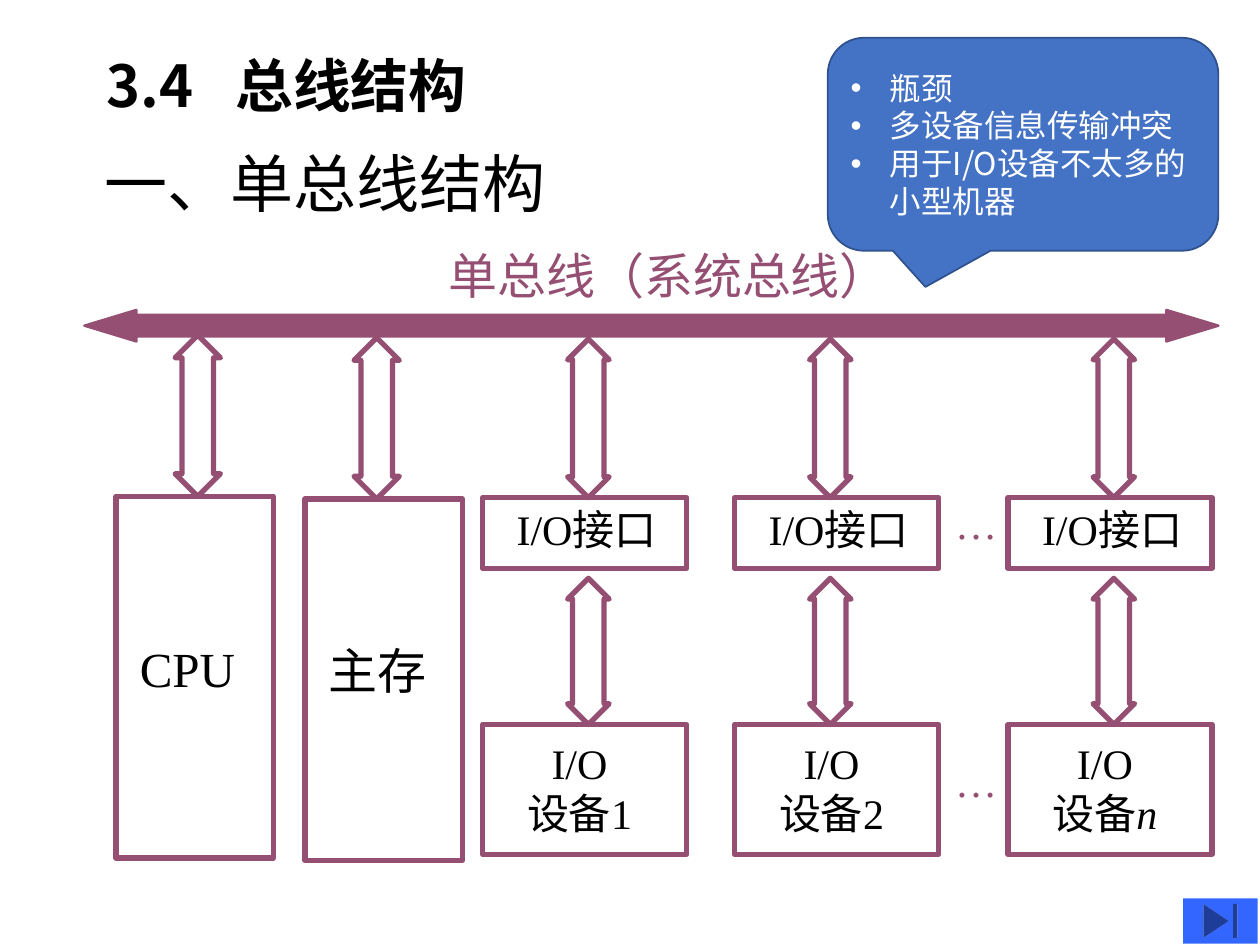
from lxml import etree
from pptx import Presentation
from pptx.dml.color import RGBColor
from pptx.enum.shapes import MSO_SHAPE
from pptx.enum.text import MSO_ANCHOR, PP_ALIGN
from pptx.oxml.ns import qn
from pptx.util import Inches, Pt

RECT, BUTTON = MSO_SHAPE.RECTANGLE, MSO_SHAPE.ACTION_BUTTON_END
BUS, LINK = MSO_SHAPE.LEFT_RIGHT_ARROW, MSO_SHAPE.UP_DOWN_ARROW
CALLOUT = MSO_SHAPE.ROUNDED_RECTANGULAR_CALLOUT
TOP, MIDDLE = MSO_ANCHOR.TOP, MSO_ANCHOR.MIDDLE
LEFT, CENTER = PP_ALIGN.LEFT, PP_ALIGN.CENTER

THEME = {
    "sans": "Noto Sans CJK SC", "serif": "Times New Roman",
    "ink": "000000", "bus": "954F72", "white": "FFFFFF",
    "callout": "4472C4", "callout_line": "2F528F", "button": "3366FF",
    "title": 33, "heading": 36, "large": 28, "box": 24, "note": 18,
    "stroke": 3,
}

TITLE = "3.4\t总线结构"
HEADING = "一、单总线结构"
BUS_LABEL = "单总线（系统总线）"
NOTES = ["瓶颈", "多设备信息传输冲突", "用于I/O设备不太多的小型机器"]
UNITS = [("CPU", 0.92, 3.94, 1.57), ("主存", 2.42, 3.96, 2.99)]
INTERFACE = "I/O接口"
DEVICES = [("1", 3.83, 4.67), ("2", 5.83, 6.59), ("n", 8, 8.84)]
ELLIPSES = [3.95, 6]

UNIT_SIZE = (1.25, 2.87)
BOX_W, INTERFACE_H, DEVICE_H = 1.62, 0.56, 1.03
INTERFACE_Y, DEVICE_Y = 3.95, 5.75
BUS_Y, LINK_GAP, HEAD = 2.69, 0.08, 0.25


def rgb(name):
    return RGBColor.from_string(THEME[name])


def add_shape(s, kind, box, fill=None, line=None, width=THEME["stroke"], adj=()):
    sp = s.shapes.add_shape(kind, *map(Inches, box))
    sp.shadow.inherit = False
    for i, value in enumerate(adj):
        sp.adjustments[i] = value
    if fill:
        sp.fill.solid()
        sp.fill.fore_color.rgb = rgb(fill)
    else:
        sp.fill.background()
    if line:
        sp.line.color.rgb = rgb(line)
        sp.line.width = Pt(width)
    else:
        sp.line.fill.background()
    return sp


def style_run(r, size, font, color):
    r.font.size = Pt(THEME[size])
    r.font.name = THEME[font]
    r.font.color.rgb = rgb(color)
    ea = etree.SubElement(r._r.get_or_add_rPr(), qn("a:ea"))
    ea.set("typeface", THEME[font] if font == "sans" else THEME["sans"])


def write(sp, lines, size, font="serif", color="ink", anchor=TOP,
          align=LEFT, insets=(0.1, 0.05, 0.1, 0.05), wrap=True):
    tf = sp.text_frame
    tf.word_wrap = wrap
    tf.vertical_anchor = anchor
    (tf.margin_left, tf.margin_top,
     tf.margin_right, tf.margin_bottom) = map(Inches, insets)
    tf.text = "\n".join(lines)
    for p in tf.paragraphs:
        p.alignment = align
        for r in p.runs:
            style_run(r, size, font, color)
    return tf


def add_text(s, box, text, size, **options):
    return write(s.shapes.add_textbox(*map(Inches, box)), [text], size, **options)


def add_link(s, x, top, bottom, width=0.33):
    add_shape(s, LINK, (x - width / 2, top, width, bottom - top),
              line="bus", adj=(0.5, HEAD / width))


def add_headings(s):
    tf = add_text(s, (0.75, 0.08, 5.5, 1.25), TITLE, "title", font="sans", anchor=MIDDLE)
    p = tf.paragraphs[0]
    p.line_spacing = 0.9
    tabs = etree.SubElement(p._p.get_or_add_pPr(), qn("a:tabLst"))
    etree.SubElement(tabs, qn("a:tab"), pos=str(Inches(1.02)), algn="l")
    for r in p.runs:
        r.font.bold = True
    add_text(s, (0.73, 1.1, 5.02, 0.7), HEADING, "heading")


def add_bus(s):
    add_text(s, (3.56, 1.95, 3.5, 0.47), BUS_LABEL, "large", font="sans",
             color="bus", insets=(0, 0, 0, 0), wrap=False)
    add_shape(s, BUS, (0.67, 2.46, 9, 0.25), "bus", "bus", 1.39, adj=(0.68, 1.65))


def add_units(s):
    for label, x, y, center in UNITS:
        sp = add_shape(s, RECT, (x, y, *UNIT_SIZE), line="bus")
        write(sp, [label], "large", anchor=MIDDLE, insets=(0.19, 0.05, 0.1, 0.2))
        add_link(s, center, y - 1.28, y, 0.36)


def add_devices(s):
    for number, x, center in DEVICES:
        sp = add_shape(s, RECT, (x, INTERFACE_Y, BOX_W, INTERFACE_H), line="bus")
        write(sp, [INTERFACE], "box", insets=(0.27, 0.05, 0.05, 0.05))
        sp = add_shape(s, RECT, (x, DEVICE_Y, BOX_W, DEVICE_H), line="bus")
        tf = write(sp, ["I/O", "设备"], "box", align=CENTER,
                   insets=(0.1, 0.1, 0.18, 0.05))
        r = tf.paragraphs[1].add_run()
        r.text = number
        style_run(r, "box", "serif", "ink")
        if number.isalpha():
            r.font.italic = True
        add_link(s, center, BUS_Y, INTERFACE_Y)
        add_link(s, center, INTERFACE_Y + INTERFACE_H + LINK_GAP, DEVICE_Y)
    for y in ELLIPSES:
        add_text(s, (7.58, y, 0.42, 0.4), "…", "box", color="bus",
                 insets=(0, 0, 0, 0))


def add_callout(s):
    sp = add_shape(s, CALLOUT, (6.57, 0.3, 3.1, 1.69), "callout", "callout_line",
                   1, adj=(-0.25, 0.67, 0.17))
    tf = write(sp, NOTES, "note", font="sans", color="white", anchor=MIDDLE)
    for p in tf.paragraphs:
        pPr = p._p.get_or_add_pPr()
        pPr.set("marL", str(Inches(0.31)))
        pPr.set("indent", str(Inches(-0.31)))
        etree.SubElement(pPr, qn("a:buFont"), typeface="Arial")
        etree.SubElement(pPr, qn("a:buChar"), char="•")


def main():
    """Build the single-bus structure slide."""
    prs = Presentation()
    prs.slide_width, prs.slide_height = Inches(10), Inches(7.5)
    s = prs.slides.add_slide(prs.slide_layouts[6])
    add_headings(s)
    add_bus(s)
    add_units(s)
    add_devices(s)
    add_shape(s, BUTTON, (9.39, 7.13, 0.59, 0.36), "button")
    add_callout(s)
    prs.save("out.pptx")


if __name__ == "__main__":
    main()
